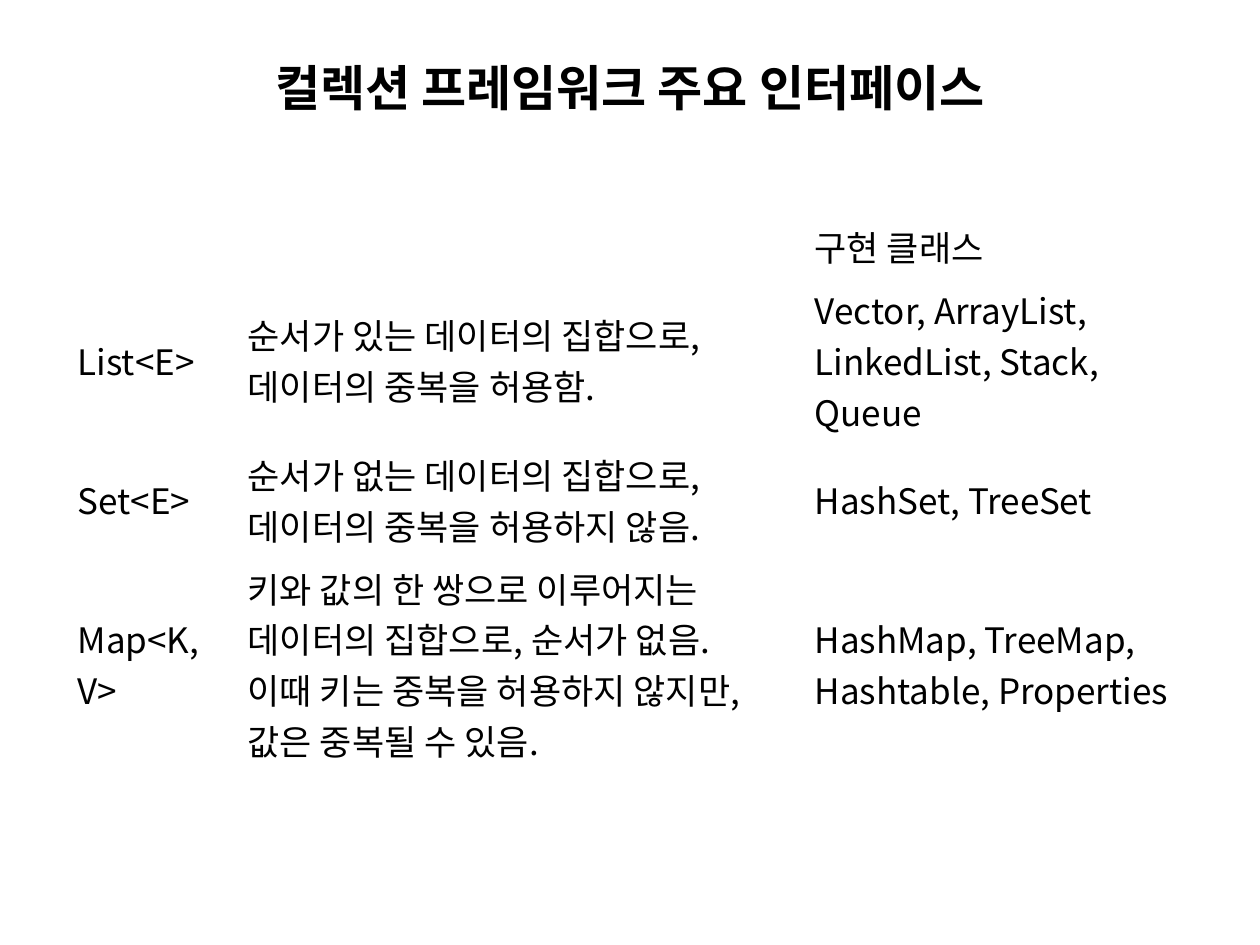
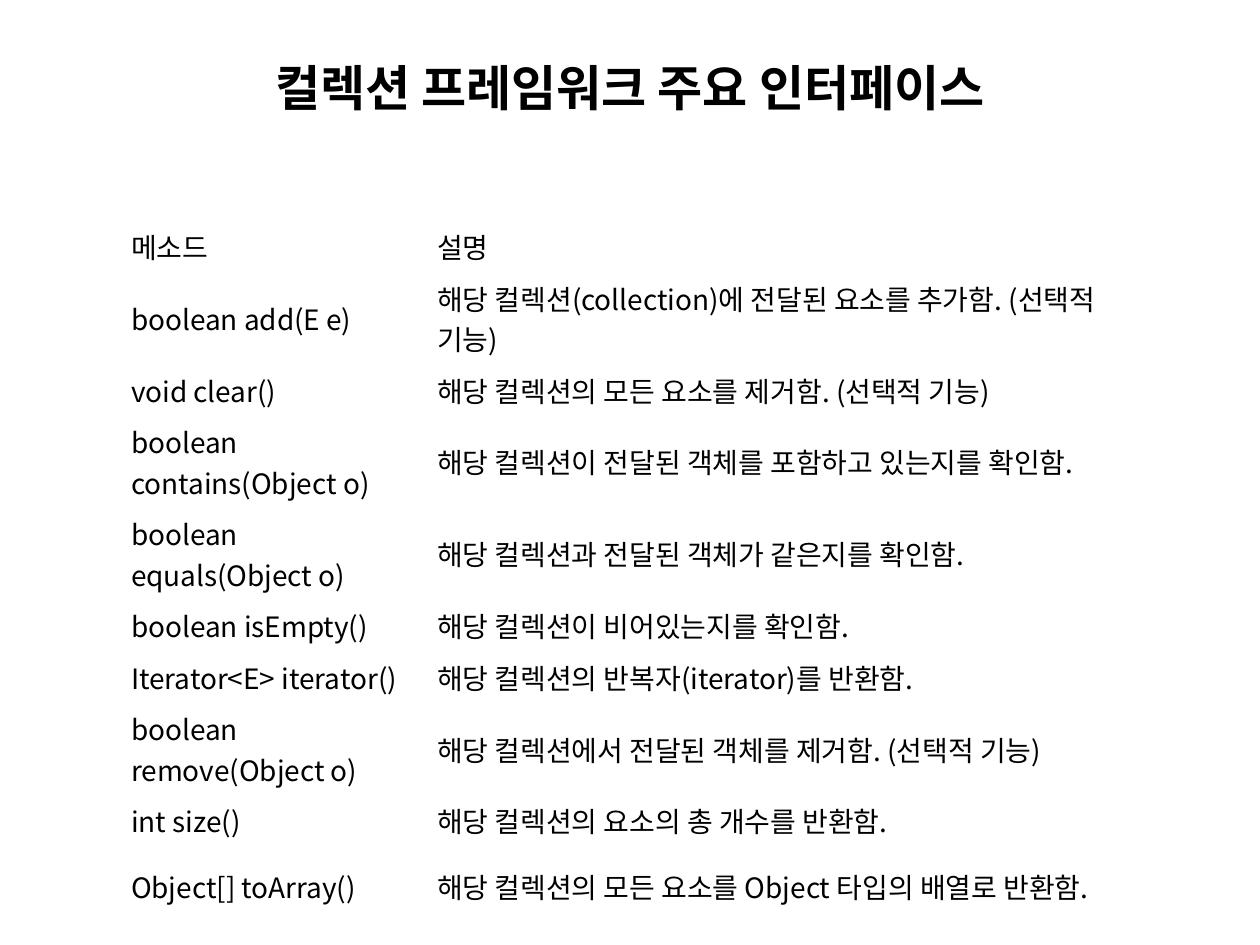
from pptx import Presentation
from pptx.dml.color import RGBColor
from pptx.enum.text import MSO_ANCHOR, PP_ALIGN
from pptx.util import Pt

BLACK = RGBColor(0x00, 0x00, 0x00)
FONT = "Noto Sans CJK KR"
TITLE = "컬렉션 프레임워크\u00a0주요 인터페이스"

INTERFACES = [
    ("", "", "구현 클래스"),
    ("List<E>", "순서가 있는 데이터의 집합으로, 데이터의 중복을 허용함.",
     "Vector, ArrayList, LinkedList, Stack, Queue"),
    ("Set<E>", "순서가 없는 데이터의 집합으로, 데이터의 중복을 허용하지 않음.",
     "HashSet, TreeSet"),
    ("Map<K, V>",
     "키와 값의 한 쌍으로 이루어지는 데이터의 집합으로, 순서가 없음.\n"
     "이때 키는 중복을 허용하지 않지만, 값은 중복될 수 있음.",
     "HashMap, TreeMap, Hashtable, Properties"),
]
INTERFACE_HEIGHTS = [36.2, 94.1, 65.1, 123]

METHODS = [
    ("메소드", "설명"),
    ("boolean add(E e)", "해당 컬렉션(collection)에 전달된 요소를 추가함. (선택적 기능)"),
    ("void clear()", "해당 컬렉션의 모든 요소를 제거함.\u00a0(선택적 기능)"),
    ("boolean contains(Object o)", "해당 컬렉션이 전달된 객체를 포함하고 있는지를 확인함."),
    ("boolean equals(Object o)", "해당 컬렉션과 전달된 객체가 같은지를 확인함."),
    ("boolean isEmpty()", "해당 컬렉션이 비어있는지를 확인함."),
    ("Iterator<E> iterator()", "해당 컬렉션의 반복자(iterator)를 반환함."),
    ("boolean remove(Object o)", "해당 컬렉션에서 전달된 객체를 제거함.\u00a0(선택적 기능)"),
    ("int size()", "해당 컬렉션의 요소의 총 개수를 반환함."),
    ("Object[] toArray()", "해당 컬렉션의 모든 요소를 Object 타입의 배열로 반환함."),
]
SINGLE, DOUBLE, LAST = 29.5, 52.6, 45.4
METHOD_HEIGHTS = [SINGLE, DOUBLE, SINGLE, DOUBLE, DOUBLE,
                  SINGLE, SINGLE, DOUBLE, SINGLE, LAST]


def style_text(frame, size, bold=False):
    for para in frame.paragraphs:
        for span in para.runs:
            span.font.name = FONT
            span.font.size = Pt(size)
            span.font.bold = bold
            span.font.color.rgb = BLACK


def add_titled_page(deck):
    page = deck.slides.add_slide(deck.slide_layouts[6])
    box = page.shapes.add_textbox(Pt(36), Pt(21.6), Pt(648), Pt(90))
    frame = box.text_frame
    frame.word_wrap = True
    frame.vertical_anchor = MSO_ANCHOR.MIDDLE
    frame.margin_bottom = Pt(37.4)
    frame.text = TITLE
    frame.paragraphs[0].alignment = PP_ALIGN.CENTER
    style_text(frame, 28, bold=True)
    return page


def add_plain_table(page, rows, left, top, widths, row_heights, size,
                    side_margin=7.2, edge_margin=3.6):
    """Add a table without fills or header emphasis."""
    holder = page.shapes.add_table(len(rows), len(widths), Pt(left), Pt(top),
                                   Pt(sum(widths)), Pt(sum(row_heights)))
    table = holder.table
    table.first_row = False
    table.horz_banding = False
    for column, width in zip(table.columns, widths):
        column.width = Pt(width)
    for row, row_height, texts in zip(table.rows, row_heights, rows):
        row.height = Pt(row_height)
        for cell, text in zip(row.cells, texts):
            cell.fill.background()
            cell.vertical_anchor = MSO_ANCHOR.MIDDLE
            cell.margin_left = cell.margin_right = Pt(side_margin)
            cell.margin_top = cell.margin_bottom = Pt(edge_margin)
            if text:
                cell.text_frame.text = text
                style_text(cell.text_frame, size)


def main():
    deck = Presentation()
    deck.slide_width, deck.slide_height = Pt(720), Pt(540)

    add_plain_table(add_titled_page(deck), INTERFACES, left=37.1, top=122.4,
                    widths=[97.2, 324, 226.8],
                    row_heights=INTERFACE_HEIGHTS, size=20)
    add_plain_table(add_titled_page(deck), METHODS, left=68.4, top=126,
                    widths=[175, 408.2],
                    row_heights=METHOD_HEIGHTS, size=16,
                    side_margin=6.5, edge_margin=2.9)
    deck.save("out.pptx")


if __name__ == "__main__":
    main()
